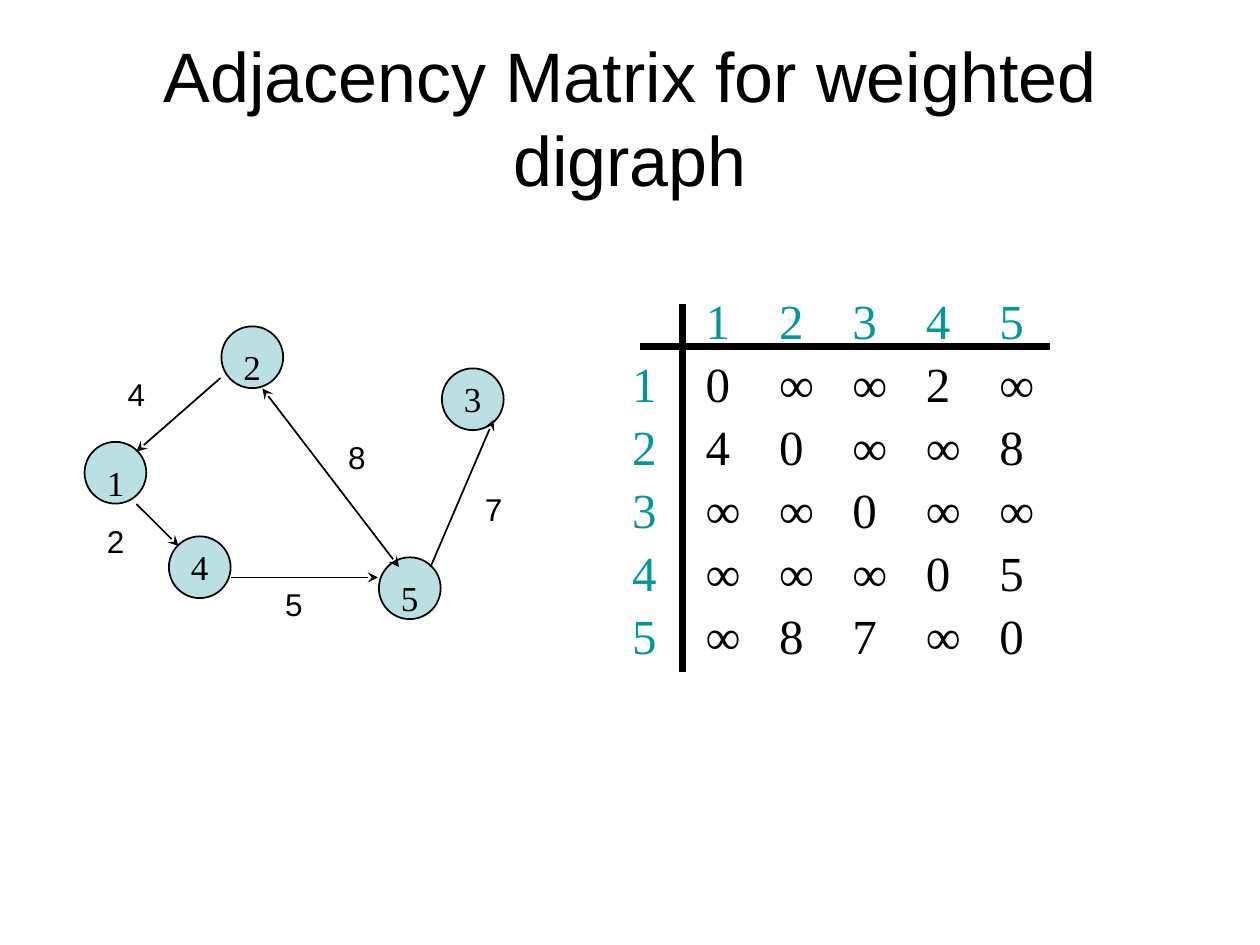
from pptx import Presentation
from pptx.dml.color import RGBColor as Rgb
from pptx.enum.shapes import MSO_CONNECTOR as Link, MSO_SHAPE as Kind
from pptx.enum.text import MSO_ANCHOR as Anchor, PP_ALIGN as Align
from pptx.oxml.ns import qn
from pptx.util import Pt
from lxml.etree import SubElement

THEME = {
    "ink": Rgb(0, 0, 0), "paper": Rgb(255, 255, 255),
    "node": Rgb(0xBB, 0xE0, 0xE3), "index": Rgb(0, 0x99, 0x99),
    "sans": "Arial", "serif": "Times New Roman",
    "title": 40, "cell": 28, "name": 20, "weight": 18,
}
TITLE = "Adjacency Matrix for weighted digraph"

# name: circle corner, name box corner
NODES = {
    "1": ((48.3, 252.5), (54, 260)),
    "2": ((126.5, 186.5), (132, 194)),
    "3": ((252.5, 210.5), (258, 212)),
    "4": ((96.5, 306.5), (102, 308)),
    "5": ((216.5, 318.5), (222, 326)),
}
# start, end, arrow at start, arrow at end
EDGES = [
    ((126, 216), (78, 258), False, True),
    ((150, 222), (228, 324), True, True),
    ((78, 288), (102, 312), False, True),
    ((282, 240), (246, 324), True, False),
    ((132, 330), (216, 330), False, True),
]
WEIGHTS = [("4", 66, 216), ("2", 54, 300), ("5", 156, 336),
           ("7", 270, 282), ("8", 192, 252)]
MATRIX = [
    ["0", "∞", "∞", "2", "∞"],
    ["4", "0", "∞", "∞", "8"],
    ["∞", "∞", "0", "∞", "∞"],
    ["∞", "∞", "∞", "0", "5"],
    ["∞", "8", "7", "∞", "0"],
]
RULES = [((366, 198), (600, 198)), ((390, 174), (390, 384))]
NODE_SIZE = 35.3
COL, ROW = 42, 36


def write(frame, text, size, face, color="ink", align=Align.LEFT):
    frame.text = text
    para = frame.paragraphs[0]
    para.alignment = align
    para.font.size = Pt(THEME[size])
    para.font.name = THEME[face]
    para.font.color.rgb = THEME[color]


def add_text(slide, box, *style, **more):
    frame = slide.shapes.add_textbox(*map(Pt, box)).text_frame
    frame.word_wrap = True
    write(frame, *style, **more)
    return frame


def add_shape(slide, kind, box, fill, line, width):
    shape = slide.shapes.add_shape(kind, *map(Pt, box))
    shape.shadow.inherit = False
    shape.fill.solid()
    shape.fill.fore_color.rgb = THEME[fill]
    shape.line.color.rgb = THEME[line]
    shape.line.width = Pt(width)
    return shape


def add_line(slide, start, end, width, head=False, tail=False):
    """Draw a straight line; head and tail put arrows at start and end."""
    line = slide.shapes.add_connector(Link.STRAIGHT, *map(Pt, start + end))
    line.line.color.rgb = THEME["ink"]
    line.line.width = Pt(width)
    props = line.line._get_or_add_ln()
    for tag, shown in (("a:headEnd", head), ("a:tailEnd", tail)):
        if shown:
            SubElement(props, qn(tag), type="stealth")
    SubElement(line._element.spPr, qn("a:effectLst"))


def add_graph(slide):
    for corner, _ in NODES.values():
        box = (*corner, NODE_SIZE, NODE_SIZE)
        add_shape(slide, Kind.OVAL, box, "node", "ink", 1)
    for start, end, head, tail in EDGES:
        add_line(slide, start, end, 1, head, tail)
    for name, (_, corner) in NODES.items():
        add_text(slide, (*corner, 24, 31), name, "name", "serif")
    for text, left, top in WEIGHTS:
        label = add_shape(slide, Kind.RECTANGLE, (left, top, 24, 18),
                          "paper", "paper", 0.75)
        frame = label.text_frame
        frame.word_wrap = False
        frame.vertical_anchor = Anchor.MIDDLE
        write(frame, text, "weight", "sans", align=Align.CENTER)


def add_matrix(slide):
    names = list(NODES)
    rows = [["", *names]] + [[n, *vals] for n, vals in zip(names, MATRIX)]
    count = len(rows)
    box = (354, 169, COL * count, ROW * count)
    table = slide.shapes.add_table(count, count, *map(Pt, box)).table
    table.first_row = table.horz_banding = False
    for col in table.columns:
        col.width = Pt(COL)
    for r, row in enumerate(rows):
        table.rows[r].height = Pt(ROW)
        for c, text in enumerate(row):
            cell = table.cell(r, c)
            cell.fill.background()
            cell.margin_left = Pt(7.2)
            cell.margin_right = cell.margin_top = cell.margin_bottom = 0
            color = "ink" if r and c else "index"
            write(cell.text_frame, text, "cell", "serif", color)
            # No cell borders: the two heavy rules are drawn on their own
            props = cell._tc.get_or_add_tcPr()
            for i, side in enumerate("LRTB"):
                edge = SubElement(props, qn(f"a:ln{side}"), w="0")
                SubElement(edge, qn("a:noFill"))
                props.insert(i, edge)
    for start, end in RULES:
        add_line(slide, start, end, 4)


def main():
    deck = Presentation()
    deck.slide_width, deck.slide_height = Pt(720), Pt(540)
    slide = deck.slides.add_slide(deck.slide_layouts[6])
    title = add_text(slide, (36, 21.6, 648, 90), TITLE, "title", "sans",
                     align=Align.CENTER)
    title.vertical_anchor = Anchor.MIDDLE
    add_graph(slide)
    add_matrix(slide)
    deck.save("out.pptx")


if __name__ == "__main__":
    main()
